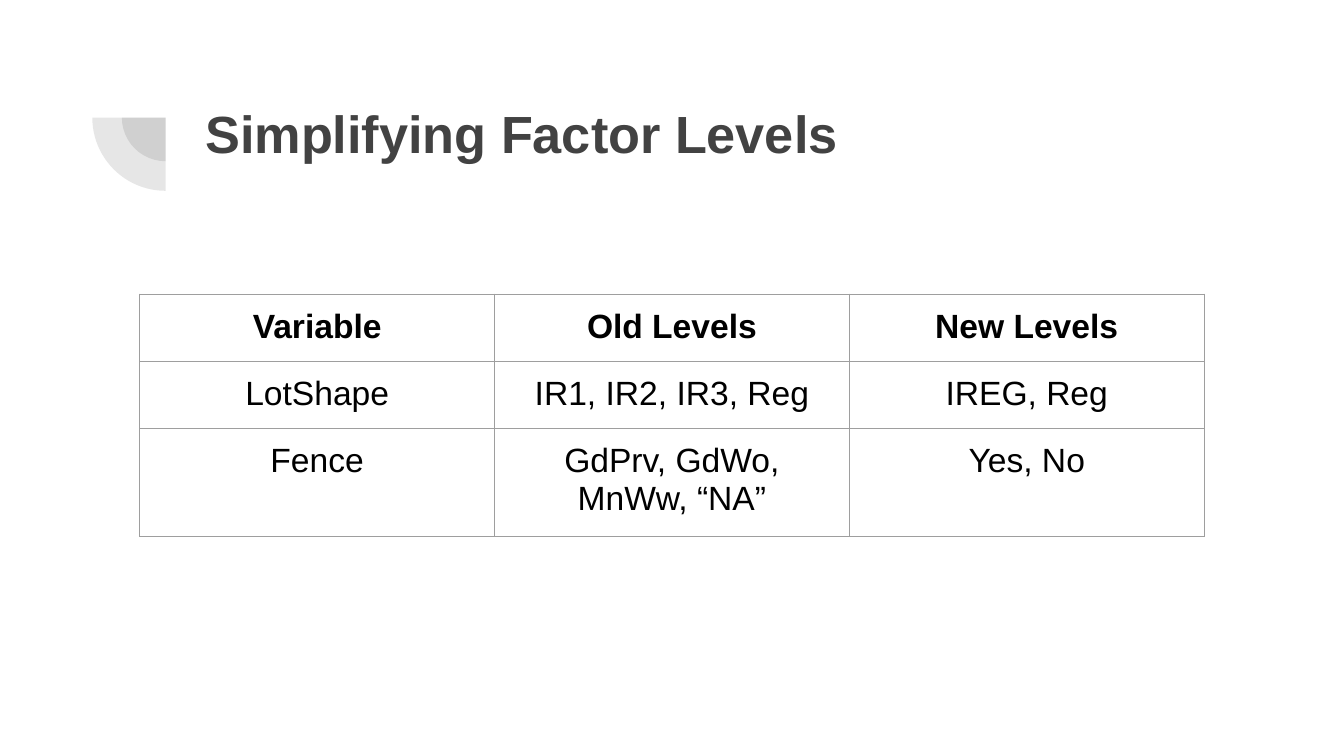
from dataclasses import dataclass

from lxml import etree
from pptx import Presentation
from pptx.dml.color import RGBColor
from pptx.enum.shapes import MSO_SHAPE
from pptx.enum.text import MSO_ANCHOR, PP_ALIGN
from pptx.oxml.ns import qn
from pptx.util import Inches, Pt

PIE = MSO_SHAPE.PIE
TOP = MSO_ANCHOR.TOP
LEFT, CENTER = PP_ALIGN.LEFT, PP_ALIGN.CENTER

GRAY = RGBColor(0x42, 0x42, 0x42)
BLACK = RGBColor(0x00, 0x00, 0x00)
BORDER = RGBColor(0x9E, 0x9E, 0x9E)

W = Inches(10)
H = W * 9 // 16
INSET = Inches(0.1)
MARGINS = {f"margin_{side}": INSET for side in ("left", "top", "right", "bottom")}

TITLE_FONT = {"name": "Arial", "size": Pt(28), "bold": True}
HEADER_FONT = {"name": "Arial", "size": Pt(18), "bold": True}
BODY_FONT = {**HEADER_FONT, "bold": False}

ROWS = [
    ("Variable", "Old Levels", "New Levels"),
    ("LotShape", "IR1, IR2, IR3, Reg", "IREG, Reg"),
    ("Fence", "GdPrv, GdWo, MnWw, “NA”", "Yes, No"),
]


@dataclass(frozen=True)
class Box:
    """Position and size in percent of the slide's width and height."""

    x: float
    y: float
    w: float
    h: float

    def emu(self) -> tuple[int, int, int, int]:
        return (
            round(W * self.x / 100),
            round(H * self.y / 100),
            round(W * self.w / 100),
            round(H * self.h / 100),
        )


@dataclass(frozen=True)
class Pie:
    """Center in percent of the slide, diameter in percent of its width."""

    cx: float
    cy: float
    diameter: float


PIES = [Pie(12.32, 15.55, 6.5), Pie(12.32, 15.55, 10.9)]
TITLE_BOX = Box(14.3, 11.56, 76.9, 19.38)
TABLE_BOX = Box(10.4, 38.91, 32.8, 58.31)
COL_SHARE, ROW_SHARE = 26.4, 7.47


def set_attrs(obj: object, values: dict) -> None:
    for name, value in values.items():
        setattr(obj, name, value)


def write(tf, text: str, font: dict, color: RGBColor, align: PP_ALIGN) -> None:
    p = tf.paragraphs[0]
    p.alignment = align
    r = p.add_run()
    r.text = text
    set_attrs(r.font, font)
    r.font.color.rgb = color


def add_pie(s, pie: Pie) -> None:
    d = round(W * pie.diameter / 100)
    left = round(W * pie.cx / 100 - d / 2)
    top = round(H * pie.cy / 100 - d / 2)
    sp = s.shapes.add_shape(PIE, left, top, d, d)
    sp.adjustments[0], sp.adjustments[1] = 108, 162
    sp.rotation = 270
    sp.shadow.inherit = False
    sp.line.fill.background()
    sp.fill.solid()
    sp.fill.fore_color.rgb = GRAY
    clr = sp.fill._xPr.find(f".//{qn('a:srgbClr')}")
    etree.SubElement(clr, qn("a:alpha"), val="13000")


def add_title(s, text: str, box: Box) -> None:
    tf = s.shapes.add_textbox(*box.emu()).text_frame
    set_attrs(tf, {**MARGINS, "word_wrap": True, "vertical_anchor": TOP})
    write(tf, text, TITLE_FONT, GRAY, LEFT)


def set_borders(cell) -> None:
    tc_pr = cell._tc.get_or_add_tcPr()
    for i, side in enumerate(("lnL", "lnR", "lnT", "lnB")):
        ln = etree.Element(qn(f"a:{side}"), w=str(Pt(0.75)))
        fill = etree.SubElement(ln, qn("a:solidFill"))
        etree.SubElement(fill, qn("a:srgbClr"), val=str(BORDER))
        tc_pr.insert(i, ln)


def add_levels_table(s, rows: list[tuple[str, ...]], box: Box) -> None:
    table = s.shapes.add_table(len(rows), len(rows[0]), *box.emu()).table
    set_attrs(table, {"first_row": False, "horz_banding": False})
    for col in table.columns:
        col.width = round(W * COL_SHARE / 100)
    for i, row in enumerate(rows):
        table.rows[i].height = round(H * ROW_SHARE / 100)
        for j, text in enumerate(row):
            cell = table.cell(i, j)
            set_attrs(cell, {**MARGINS, "vertical_anchor": TOP})
            cell.fill.background()
            set_borders(cell)
            font = BODY_FONT if i else HEADER_FONT
            write(cell.text_frame, text, font, BLACK, CENTER)


def main() -> None:
    prs = Presentation()
    set_attrs(prs, {"slide_width": W, "slide_height": H})
    s = prs.slides.add_slide(prs.slide_layouts[6])
    for pie in PIES:
        add_pie(s, pie)
    add_title(s, "Simplifying Factor Levels", TITLE_BOX)
    add_levels_table(s, ROWS, TABLE_BOX)
    prs.save("out.pptx")


if __name__ == "__main__":
    main()
